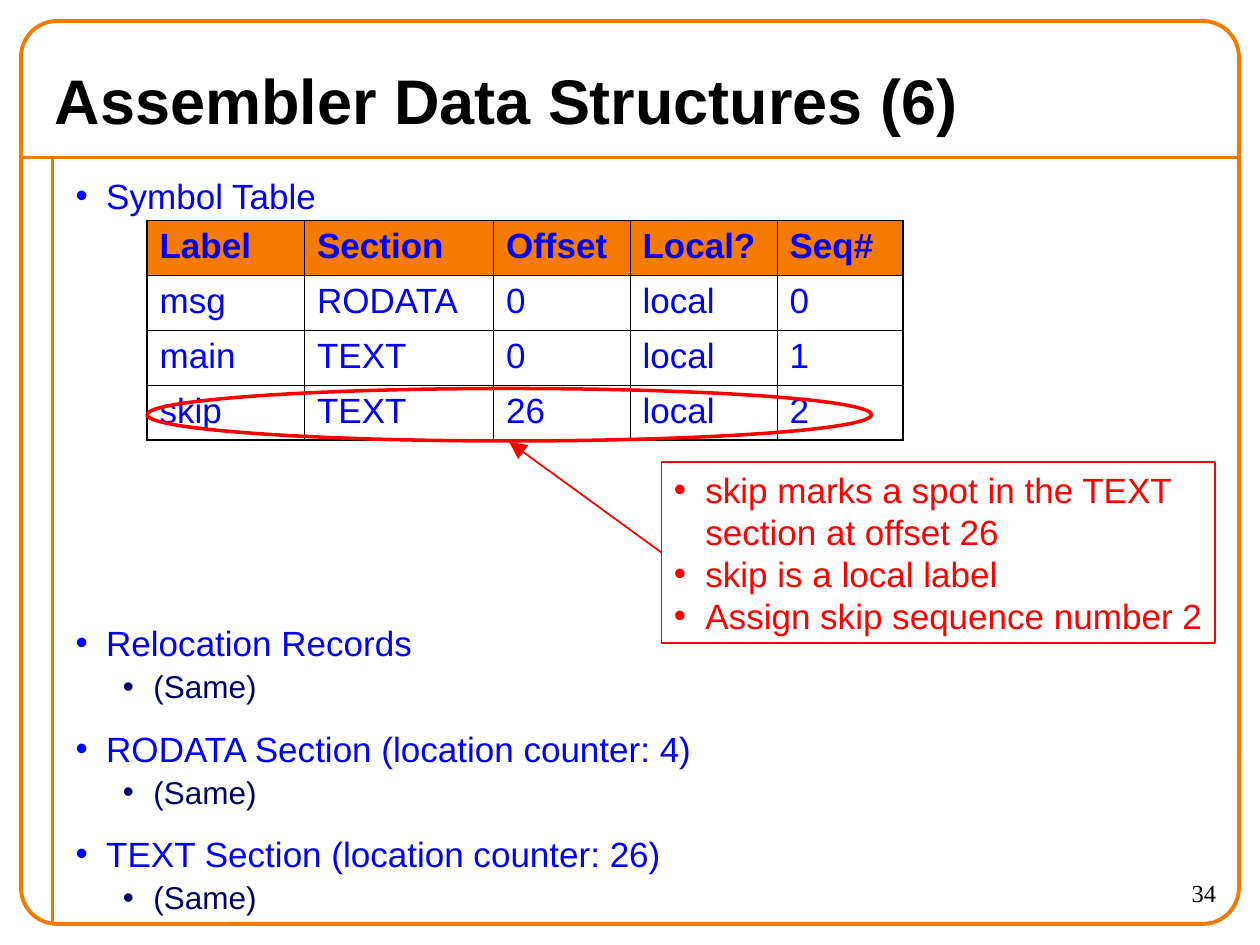
from lxml import etree
from pptx import Presentation
from pptx.dml.color import RGBColor
from pptx.enum.shapes import MSO_CONNECTOR, MSO_SHAPE
from pptx.enum.text import MSO_ANCHOR, MSO_AUTO_SIZE, PP_ALIGN
from pptx.oxml.ns import qn
from pptx.util import Pt

STRAIGHT = MSO_CONNECTOR.STRAIGHT
ROUNDED, RECTANGLE, OVAL = MSO_SHAPE.ROUNDED_RECTANGLE, MSO_SHAPE.RECTANGLE, MSO_SHAPE.OVAL
LEFT, RIGHT = PP_ALIGN.LEFT, PP_ALIGN.RIGHT
TOP, MIDDLE = MSO_ANCHOR.TOP, MSO_ANCHOR.MIDDLE
NO_FIT, GROW = MSO_AUTO_SIZE.NONE, MSO_AUTO_SIZE.SHAPE_TO_FIT_TEXT

THEME = {
    "orange": "F47A00", "black": "000000", "blue": "0000FF", "navy": "000066", "red": "FF0000",
    "sans": "Arial", "serif": "Times New Roman",
    "title": 36, "text": 20, "detail": 18, "number": 14,
}


def write_text(frame, text, size="text", color="blue", font="sans", bold=False, align=LEFT,
               bullet=False, margin=0, hanging=0, level=0, before=0):
    paragraph = frame.paragraphs[0] if not frame.text else frame.add_paragraph()
    paragraph.text = text
    paragraph.level = level
    paragraph.alignment = align
    paragraph.space_before = Pt(before)
    if bullet:
        properties = paragraph._p.get_or_add_pPr()
        properties.set("marL", str(Pt(margin)))
        properties.set("indent", str(Pt(-hanging)))
        bullet_color = etree.SubElement(properties, qn("a:buClr"))
        etree.SubElement(bullet_color, qn("a:srgbClr"), val=THEME[color])
        etree.SubElement(properties, qn("a:buFont"), typeface=THEME[font])
        etree.SubElement(properties, qn("a:buChar"), char="•")
    for run in paragraph.runs:
        run.font.name = THEME[font]
        run.font.size = Pt(THEME[size])
        run.font.bold = bold
        run.font.color.rgb = RGBColor.from_string(THEME[color])


def draw_line(slide, start, end, color, width):
    line = slide.shapes.add_connector(STRAIGHT, *[Pt(value) for value in start + end])
    line.line.color.rgb = RGBColor.from_string(THEME[color])
    line.line.width = Pt(width)
    etree.SubElement(line._element.spPr, qn("a:effectLst"))
    return line


presentation = Presentation()
presentation.slide_width, presentation.slide_height = Pt(720), Pt(540)
slide = presentation.slides.add_slide(presentation.slide_layouts[1])

draw_line(slide, (12, 90), (708, 90), "orange", 2.25)
draw_line(slide, (30, 90), (30, 528), "orange", 2.25)

outlines = {}
for name, kind, bounds, color, width in [
    ("frame", ROUNDED, (12, 12, 696, 516), "orange", 2.25),
    ("callout", RECTANGLE, (378, 264, 316.3, 103.5), "red", 1),
    ("highlight", OVAL, (84, 222, 414, 30), "red", 2),
]:
    shape = slide.shapes.add_shape(kind, *[Pt(value) for value in bounds])
    shape.shadow.inherit = False
    shape.fill.background()
    shape.line.color.rgb = RGBColor.from_string(THEME[color])
    shape.line.width = Pt(width)
    outlines[name] = shape
outlines["frame"].adjustments[0] = 0.04

number = slide.shapes.add_textbox(Pt(630), Pt(498), Pt(72), Pt(30)).text_frame
number.word_wrap = True
write_text(number, "34", size="number", color="black", font="serif", align=RIGHT)

title, body = slide.placeholders
for placeholder, bounds, anchor in [
    (title, (24, 30, 672, 54), MIDDLE),
    (body, (36, 96, 648, 432), TOP),
]:
    placeholder.left, placeholder.top, placeholder.width, placeholder.height = [
        Pt(value) for value in bounds]
    placeholder.text_frame.vertical_anchor = anchor
    placeholder.text_frame.auto_size = NO_FIT
write_text(title.text_frame, "Assembler Data Structures (6)",
           size="title", color="black", bold=True)

table_gap = 231.5
for heading, before in [
    ("Symbol Table", 0),
    ("Relocation Records", table_gap),
    ("RODATA Section (location counter: 4)", 12.5),
    ("TEXT Section (location counter: 26)", 12.5),
]:
    write_text(body.text_frame, heading, bullet=True, margin=17.5, hanging=17.5,
               before=before)
    if heading != "Symbol Table":
        write_text(body.text_frame, "(Same)", size="detail", color="navy", bullet=True,
                   margin=44.5, hanging=17.5, level=1, before=2.2)

rows = [
    ("Label", "Section", "Offset", "Local?", "Seq#"),
    ("msg", "RODATA", "0", "local", "0"),
    ("main", "TEXT", "0", "local", "1"),
    ("skip", "TEXT", "26", "local", "2"),
]
column_widths = [90, 108, 78, 84, 72]
row_height = 31.4
table_shape = slide.shapes.add_table(len(rows), len(column_widths), Pt(84), Pt(126),
                                     Pt(sum(column_widths)), Pt(row_height * len(rows)))
table = table_shape.table
table.first_row = table.horz_banding = False
for column, width in zip(table.columns, column_widths):
    column.width = Pt(width)
for row_index, values in enumerate(rows):
    table.rows[row_index].height = Pt(row_height)
    for column_index, value in enumerate(values):
        cell = table.cell(row_index, column_index)
        is_header = row_index == 0
        write_text(cell.text_frame, value, bold=is_header)
        if is_header:
            cell.fill.solid()
            cell.fill.fore_color.rgb = RGBColor.from_string(THEME["orange"])
        else:
            cell.fill.background()
        outer_edges = [
            ("a:lnL", column_index == 0),
            ("a:lnR", column_index == len(values) - 1),
            ("a:lnT", is_header),
            ("a:lnB", row_index == len(rows) - 1),
        ]
        properties = cell._tc.get_or_add_tcPr()
        for position, (tag, is_outer) in enumerate(outer_edges):
            border = etree.Element(qn(tag), w=str(Pt(1.08 if is_outer else 0.45)))
            border_fill = etree.SubElement(border, qn("a:solidFill"))
            etree.SubElement(border_fill, qn("a:srgbClr"), val=THEME["black"])
            properties.insert(position, border)

callout = outlines["callout"]
callout.text_frame.word_wrap = False
callout.text_frame.auto_size = GROW
for note in [
    "skip marks a spot in the TEXT\vsection at offset 26",
    "skip is a local label",
    "Assign skip sequence number 2",
]:
    write_text(callout.text_frame, note, color="red", bullet=True, margin=18, hanging=18)

slide.shapes._spTree.append(callout._element)
slide.shapes._spTree.append(outlines["highlight"]._element)
arrow = draw_line(slide, (378, 316), (291, 252.5), "red", 1)
arrow.begin_connect(callout, 1)
etree.SubElement(arrow.line._get_or_add_ln(), qn("a:tailEnd"), type="triangle", w="lg", len="lg")

presentation.save("out.pptx")
